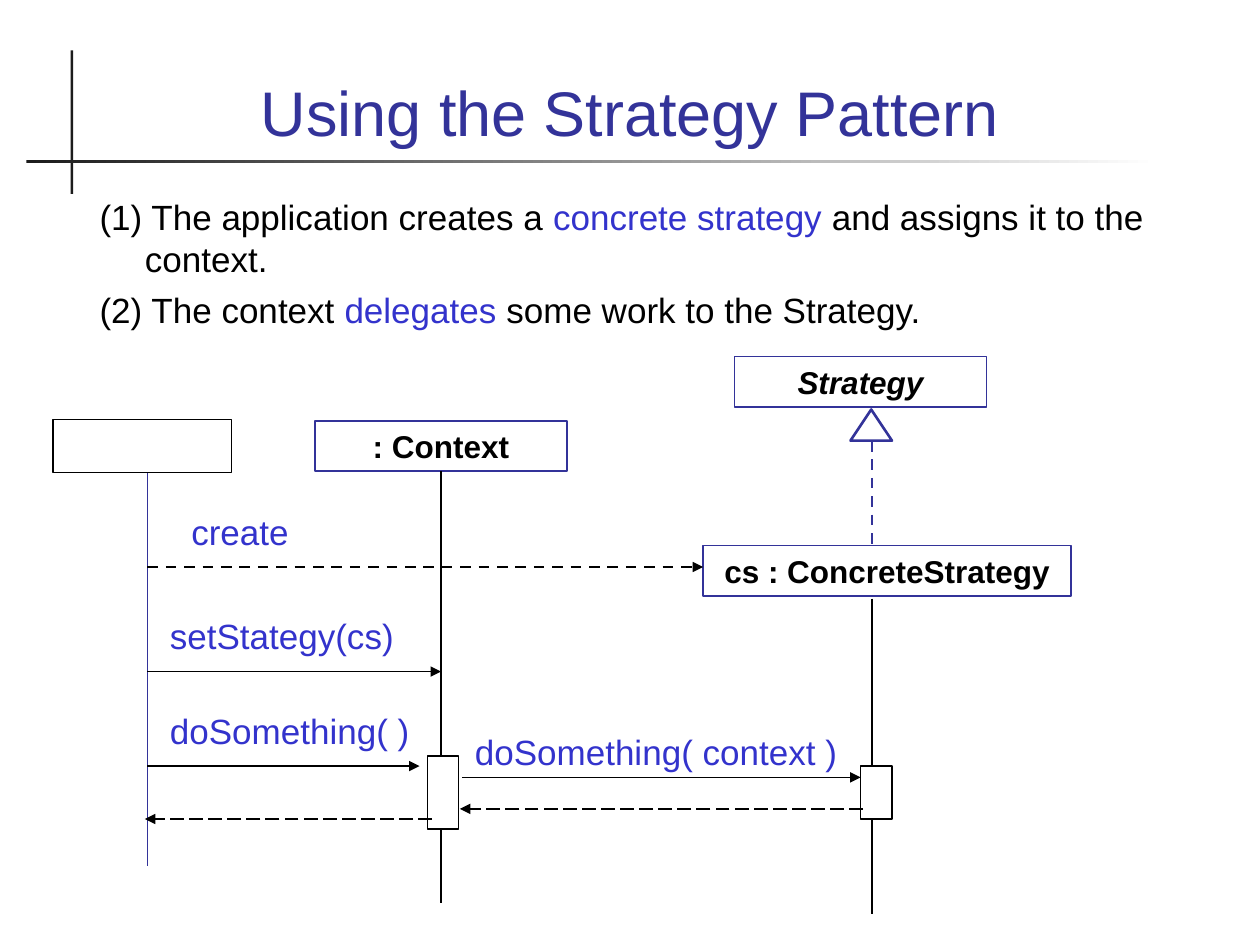
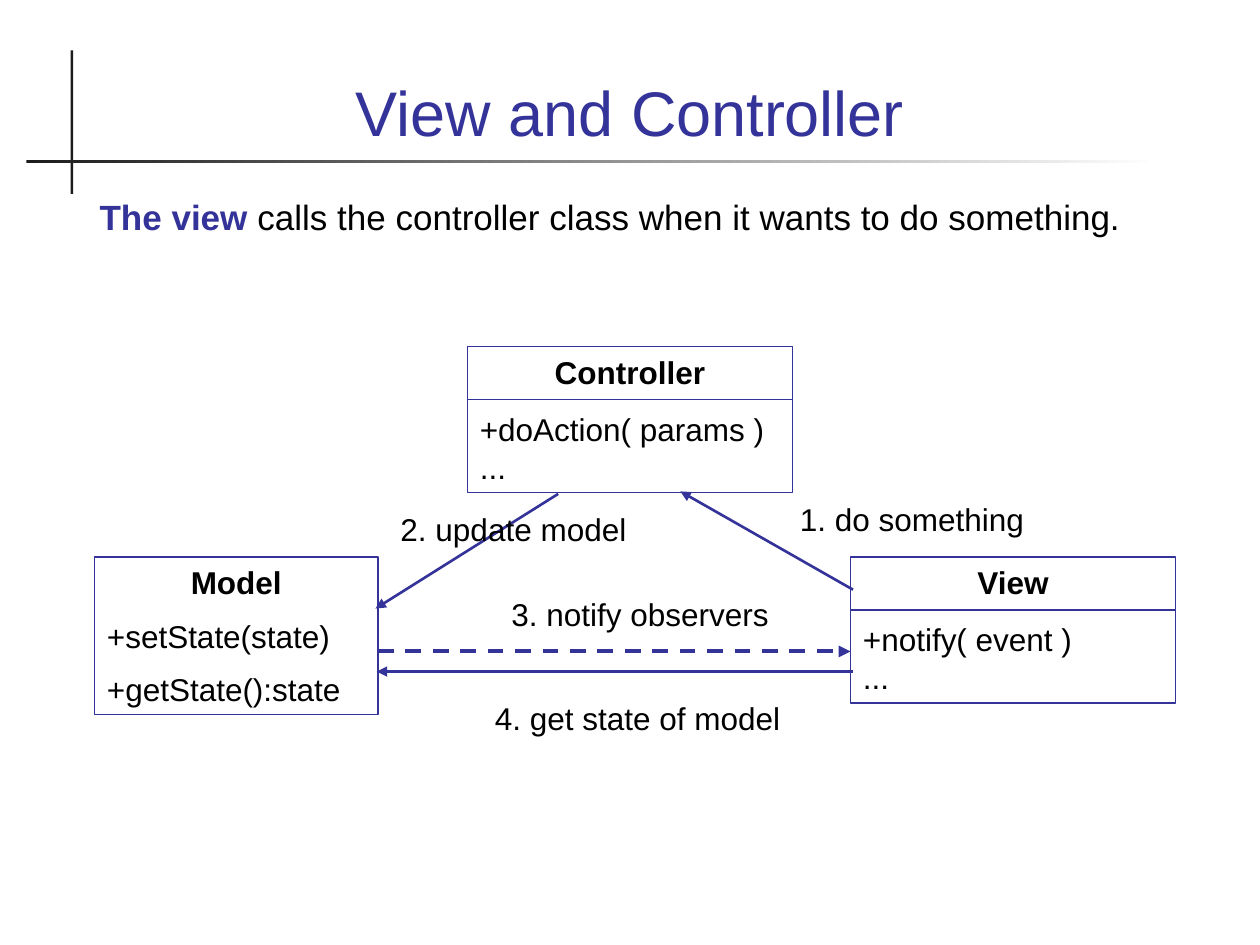
import pptx
import pptx.dml.color
import pptx.enum.dml
import pptx.enum.shapes
import pptx.enum.text
import pptx.oxml.ns
import pptx.util
from lxml import etree

Inches = pptx.util.Inches
Pt = pptx.util.Pt
RGBColor = pptx.dml.color.RGBColor
Shape = pptx.enum.shapes.MSO_SHAPE
Dash = pptx.enum.dml.MSO_LINE
Align = pptx.enum.text.PP_ALIGN
Anchor = pptx.enum.text.MSO_ANCHOR
AutoSize = pptx.enum.text.MSO_AUTO_SIZE
qn = pptx.oxml.ns.qn

# Shared style
FONT = "Arial"
NAVY = RGBColor(0x33, 0x33, 0x99)
BLUE = RGBColor(0x33, 0x33, 0xCC)
BLACK = RGBColor(0, 0, 0)
CHARCOAL = RGBColor(0x1C, 0x1C, 0x1C)
WHITE = RGBColor(0xFF, 0xFF, 0xFF)


def write_text(paragraph, text, size=18, color=BLACK, bold=False, italic=False,
               align=Align.LEFT, before=0):
    """Add one formatted run and set the paragraph's alignment and spacing."""
    paragraph.alignment = align
    paragraph.space_before = Pt(before)
    font = paragraph.add_run().font
    paragraph.runs[-1].text = text
    font.name, font.size = FONT, Pt(size)
    font.bold, font.italic = bold, italic
    font.color.rgb = color


class Deck:
    def __init__(self):
        self.presentation = pptx.Presentation()
        self.presentation.slide_width = Inches(10)
        self.presentation.slide_height = Inches(7.5)
        self.slide = None

    def start_slide(self, title, items, body_height):
        """Add a slide with its crossed rules, title and body list."""
        layout = self.presentation.slide_layouts[1]
        self.slide = self.presentation.slides.add_slide(layout)
        self.rectangle(0.56, 0.4, 0.02, 1.14, fill=CHARCOAL, line=None)
        rule = self.rectangle(0.21, 1.27, 8.98, 0.02, line=None)
        rule.fill.gradient()
        rule.fill.gradient_angle = 0
        for stop, color, position in zip(rule.fill.gradient_stops, (CHARCOAL, WHITE), (0, 1)):
            stop.color.rgb = color
            stop.position = position

        frame = self.place(self.slide.shapes.title, 0.28, 0.95, Anchor.BOTTOM)
        write_text(frame.paragraphs[0], title, size=36, color=NAVY, align=Align.CENTER)
        frame = self.place(self.slide.placeholders[1], 1.5, body_height, Anchor.TOP)
        for index, runs in enumerate(items):
            paragraph = frame.add_paragraph() if index else frame.paragraphs[0]
            for text, style in runs:
                write_text(paragraph, text, size=20, before=5, **style)
            properties = paragraph._p.get_or_add_pPr()
            properties.set("marL", str(Inches(0.38)))
            properties.set("indent", str(Inches(-0.36)))
            etree.SubElement(properties, qn("a:buNone"))

    def place(self, placeholder, top, height, anchor):
        placeholder.left, placeholder.top = Inches(0.67), Inches(top)
        placeholder.width, placeholder.height = Inches(8.66), Inches(height)
        frame = placeholder.text_frame
        frame.word_wrap = True
        frame.auto_size = AutoSize.NONE
        frame.vertical_anchor = anchor
        return frame

    def rectangle(self, left, top, width, height, fill=None, line=NAVY, weight=1,
                  kind=Shape.RECTANGLE):
        shape = self.slide.shapes.add_shape(
            kind, Inches(left), Inches(top), Inches(width), Inches(height))
        shape.shadow.inherit = False
        if fill is None:
            shape.fill.background()
        else:
            shape.fill.solid()
            shape.fill.fore_color.rgb = fill
        if line is None:
            shape.line.fill.background()
        else:
            shape.line.color.rgb = line
            shape.line.width = Pt(weight)
        return shape

    def white_box(self, left, top, width, height):
        return self.rectangle(left, top, width, height, WHITE, BLACK, 0.75)

    def class_box(self, left, top, width, height, name, members=(), before=11.2, italic=False):
        """Draw a UML box; members are (text, space before) pairs."""
        shape = self.rectangle(left, top, width, height)
        frame = shape.text_frame
        frame.word_wrap = True
        frame.vertical_anchor = Anchor.TOP
        write_text(frame.paragraphs[0], name, bold=True, italic=italic,
                   align=Align.CENTER, before=before)
        for text, gap in members:
            write_text(frame.add_paragraph(), text, before=gap)
        return shape

    def divided_box(self, left, top, name, operation):
        self.class_box(left, top, 2.58, 1.16, name, ((operation, 11.2), ("...", 0)))
        self.line((left, top + 0.42), (left + 2.58, top + 0.42))

    def label(self, left, top, width, text, height=0.4, **style):
        shape = self.slide.shapes.add_textbox(
            Inches(left), Inches(top), Inches(width), Inches(height))
        shape.text_frame.word_wrap = True
        shape.text_frame.auto_size = AutoSize.SHAPE_TO_FIT_TEXT
        write_text(shape.text_frame.paragraphs[0], text, **style)

    def message(self, left, top, width, text):
        self.label(left, top, width, text, height=0.44, size=20, color=BLUE, before=12.5)

    def line(self, start, end, color=NAVY, weight=1, dash=None, arrow=False):
        connector = self.slide.shapes.add_connector(
            pptx.enum.shapes.MSO_CONNECTOR.STRAIGHT, *map(Inches, start + end))
        connector.line.color.rgb = color
        connector.line.width = Pt(weight)
        if dash is not None:
            connector.line.dash_style = dash
        if arrow:
            etree.SubElement(connector.line._get_or_add_ln(), qn("a:tailEnd"), type="triangle")
        etree.SubElement(connector._element.spPr, qn("a:effectLst"))
        return connector


def build_strategy(deck):
    blue = {"color": BLUE}
    deck.start_slide("Using the Strategy Pattern", [
        [("(1) The application creates a ", {}), ("concrete strategy", blue),
         (" and assigns it to the context.", {})],
        [("(2) The context ", {}), ("delegates", blue),
         (" some work to the Strategy.", {})],
    ], body_height=2.33)

    # Participants and inheritance
    context = deck.class_box(2.5, 3.34, 2, 0.4, ": Context", before=4.5)
    deck.class_box(5.83, 2.83, 2, 0.4, "Strategy", italic=True)
    deck.class_box(5.58, 4.33, 2.92, 0.4, "cs : ConcreteStrategy")
    triangle = deck.rectangle(6.75, 3.25, 0.33, 0.25, weight=1.5, kind=Shape.UP_ARROW)
    triangle.adjustments[0], triangle.adjustments[1] = 0, 0.99
    deck.line((6.92, 3.5), (6.92, 4.33), weight=1.5, dash=Dash.DASH)

    # Lifelines
    application_x, context_x, strategy_x = 1.17, 3.5, 6.92
    deck.line((application_x, 3.75), (application_x, 6.87))
    lifeline = deck.line((context_x, 3.74), (context_x, 7.17), BLACK, 0.75)
    lifeline.begin_connect(context, 2)
    deck.line((strategy_x, 4.75), (strategy_x, 7.25), BLACK, 0.75)

    # Calls
    deck.line((application_x, 4.5), (5.58, 4.5), BLACK, 1.5, Dash.DASH, arrow=True)
    for left, right, y in ((application_x, context_x, 5.33),
                           (application_x, 3.33, 6.08),
                           (3.67, 6.83, 6.17)):
        deck.line((left, y), (right, y), BLACK, arrow=True)
    deck.message(1.42, 4, 2, "create")
    deck.message(1.25, 4.83, 2, "setStategy(cs)")
    deck.message(1.25, 5.58, 2.17, "doSomething( )")
    deck.message(3.67, 5.75, 3.25, "doSomething( context )")

    # Activations, returns and the application
    deck.white_box(6.83, 6.08, 0.25, 0.42)
    deck.white_box(3.39, 6, 0.25, 0.58)
    for right, left, y in ((6.85, 3.65, 6.42), (3.43, 1.15, 6.5)):
        deck.line((right, y), (left, y), BLACK, dash=Dash.LONG_DASH, arrow=True)
    deck.white_box(0.42, 3.33, 1.42, 0.42)


def build_controller(deck):
    deck.start_slide("View and Controller", [
        [("The view", {"color": NAVY, "bold": True}),
         (" calls the controller class when it wants to do something.", {})],
    ], body_height=0.92)

    # Classes
    deck.class_box(0.75, 4.42, 2.25, 1.25, "Model",
                   (("+setState(state)", 9), ("+getState():state", 9)), before=4.5)
    deck.divided_box(6.75, 4.42, "View", "+notify( event )")
    deck.divided_box(3.71, 2.75, "Controller", "+doAction( params )")

    # Interactions
    for start, end, weight, dash in (
            ((6.77, 4.68), (5.4, 3.9), 1.5, None),
            ((4.43, 3.92), (2.98, 4.83), 1.5, None),
            ((3.0, 5.17), (6.75, 5.17), 2.25, Dash.DASH),
            ((6.77, 5.33), (2.99, 5.33), 1.5, None)):
        deck.line(start, end, weight=weight, dash=dash, arrow=True)
    for left, top, width, text in (
            (6.25, 3.92, 2.08, "1. do something"),
            (3.08, 4, 2.08, "2. update model"),
            (3.96, 4.67, 2.38, "3. notify observers"),
            (3.83, 5.5, 2.54, "4. get state of model")):
        deck.label(left, top, width, text, before=11.2)


def main():
    deck = Deck()
    build_strategy(deck)
    build_controller(deck)
    deck.presentation.save("out.pptx")


if __name__ == "__main__":
    main()
